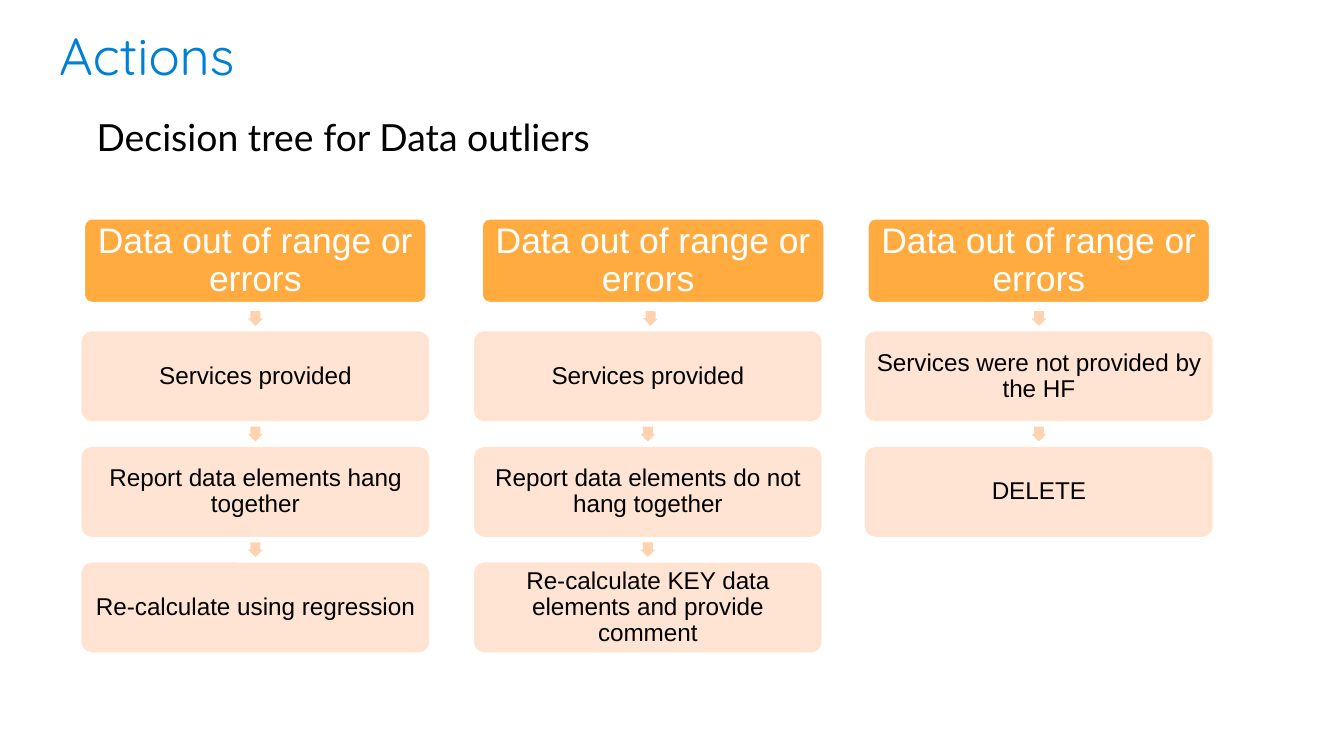
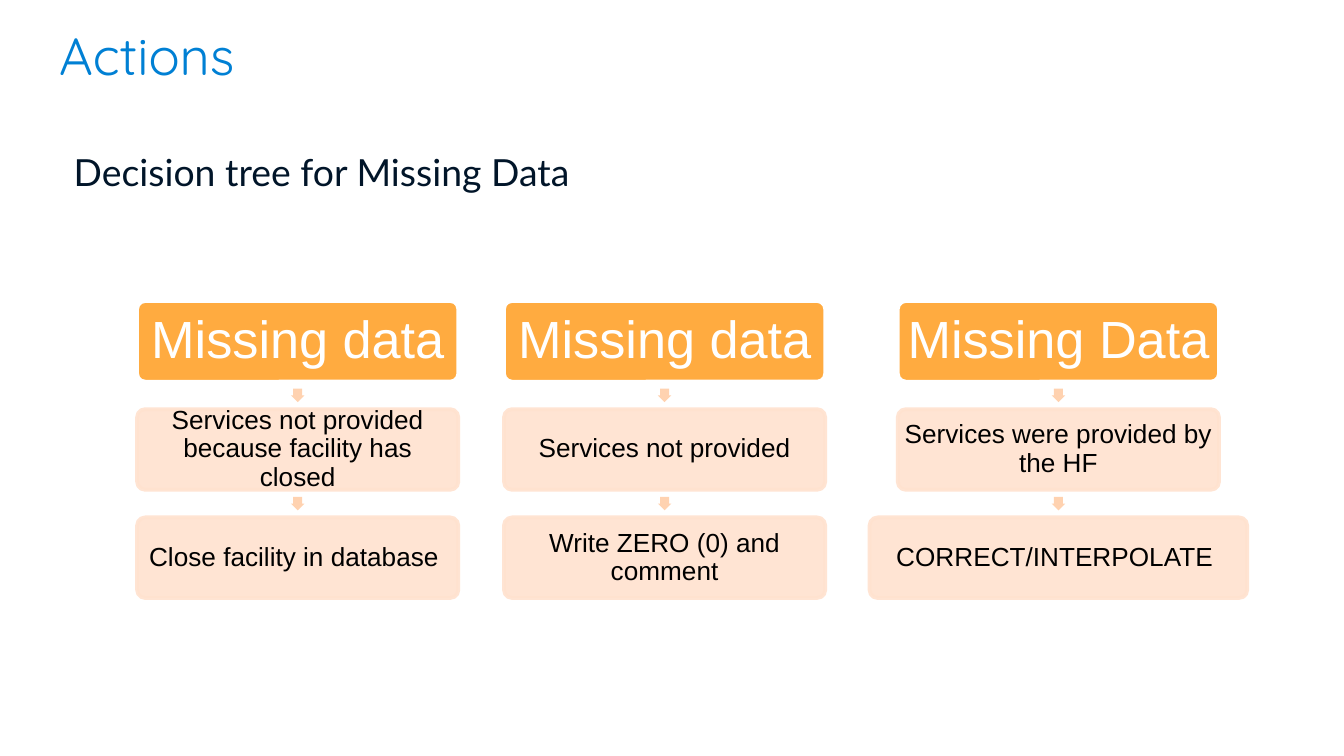
from math import atan2, degrees

from lxml import etree
from pptx import Presentation
from pptx.dml.color import RGBColor
from pptx.enum.shapes import MSO_SHAPE
from pptx.enum.text import MSO_ANCHOR, MSO_AUTO_SIZE, PP_ALIGN
from pptx.oxml.ns import qn
from pptx.util import Inches, Pt

BOX, ARROW = MSO_SHAPE.ROUNDED_RECTANGLE, MSO_SHAPE.RIGHT_ARROW
TOP, MIDDLE = MSO_ANCHOR.TOP, MSO_ANCHOR.MIDDLE
LEFT, CENTER = PP_ALIGN.LEFT, PP_ALIGN.CENTER
NO_FIT, GROW = MSO_AUTO_SIZE.NONE, MSO_AUTO_SIZE.SHAPE_TO_FIT_TEXT

COLORS = {
    "title": "0080D4", "head": "FFAB40", "step": "FFE2CF", "arrow": "FFD2B0",
    "white": "FFFFFF", "black": "000000", "navy": "011529",
}
STEP_OPACITY = 90
PAGE_WIDTH = 10
PAGE_HEIGHT = PAGE_WIDTH * 9 / 16
TITLE = "Actions"
TITLE_AREA = (0.34, 0.07, 9.32, 0.63)

SLIDES = [
    {
        "subtitle": {"text": "Decision tree for Data outliers", "area": (0.62, 0.8, 3.9, 0.44),
                     "color": "black", "wrap": False, "inset": (0.1, 0.05), "spacing": 1},
        "top": 1.62, "bottom": 4.84, "rows": 4, "box": (2.56, 0.64), "arrow": 0.11,
        "head_size": 19, "head_inset": 0.03, "step_size": 13,
        "columns": [
            {"left": 0.62, "head": "Data out of range or errors",
             "steps": ["Services provided", "Report data elements hang together",
                       "Re-calculate using regression"]},
            {"left": 3.54, "head": "Data out of range or errors ", "head_shift": 0.04,
             "steps": ["Services provided", "Report data elements do not hang together",
                       "Re-calculate KEY data elements and provide comment"]},
            {"left": 6.45, "head": "Data out of range or errors",
             "steps": ["Services were not provided by the HF", "DELETE"]},
        ],
    },
    {
        "subtitle": {"text": "Decision tree for Missing Data", "area": (0.34, 0.84, 9.32, 3.74),
                     "color": "navy", "wrap": True, "inset": (0.1, 0.1), "spacing": 1.5,
                     "indent": 0.11},
        "top": 2.24, "bottom": 4.45, "rows": 3, "box": (2.39, 0.6), "arrow": 0.1,
        "head_size": 28, "head_inset": 0.04, "step_size": 14,
        "columns": [
            {"left": 1.02, "head": "Missing data",
             "steps": ["Services not provided because facility has closed",
                       "Close facility in database "]},
            {"left": 3.75, "head": "Missing data",
             "steps": ["Services not provided", "Write ZERO (0) and comment"]},
            {"left": 6.68, "head": "Missing Data", "last_width": 2.81,
             "steps": ["Services were provided by the HF", "CORRECT/INTERPOLATE "]},
        ],
    },
]


def rgb(name):
    return RGBColor.from_string(COLORS[name])


def write(shape, text, font, size, color, align, anchor, inset, spacing=1.0):
    frame = shape.text_frame
    frame.word_wrap = True
    frame.vertical_anchor = anchor
    frame.margin_left = frame.margin_right = Inches(inset[0])
    frame.margin_top = frame.margin_bottom = Inches(inset[1])
    para = frame.paragraphs[0]
    para.alignment = align
    para.line_spacing = spacing
    span = para.add_run()
    span.text = text
    span.font.name = font
    span.font.size = Pt(size)
    span.font.color.rgb = rgb(color)
    return frame


def add_centered(group, kind, center, size, fill):
    """Add a plain filled shape around its centre point."""
    (x, y), (width, height) = center, size
    shape = group.shapes.add_shape(kind, Inches(x - width / 2), Inches(y - height / 2),
                                   Inches(width), Inches(height))
    shape.shadow.inherit = False
    shape.fill.solid()
    shape.fill.fore_color.rgb = rgb(fill)
    return shape


def add_node(group, center, size, text, is_head, tree):
    box = add_centered(group, BOX, center, size, "head" if is_head else "step")
    box.adjustments[0] = 0.1
    box.line.width = Pt(2)
    box.line.color.rgb = rgb("white" if is_head else "step")
    if is_head:
        look = (tree["head_size"], "white", tree["head_inset"])
    else:
        look = (tree["step_size"], "black", 0.02)
        for color in box._element.spPr.iter(qn("a:srgbClr")):
            etree.SubElement(color, qn("a:alpha"), val=str(STEP_OPACITY * 1000))
    font_size, color, inset = look
    write(box, text, "Arial", font_size, color, CENTER, MIDDLE, (inset, inset), 0.9)


def add_arrow(group, start, end, side):
    """Put a small arrow halfway between two nodes, pointing to the second."""
    middle = [(a + b) / 2 for a, b in zip(start, end)]
    arrow = add_centered(group, ARROW, middle, (side, side), "arrow")
    arrow.adjustments[0], arrow.adjustments[1] = 0.667, 0.5
    arrow.line.fill.background()
    arrow.rotation = degrees(atan2(end[1] - start[1], end[0] - start[0]))


def add_tree(page, tree):
    width, height = tree["box"]
    pitch = (tree["bottom"] - tree["top"] - height) / (tree["rows"] - 1)
    group = page.shapes.add_group_shape()
    for column in tree["columns"]:
        texts = [column["head"], *column["steps"]]
        previous = None
        for row, text in enumerate(texts):
            is_head, is_last = row == 0, row == len(texts) - 1
            shift = column.get("head_shift", 0) if is_head else 0
            node_width = column.get("last_width", width) if is_last else width
            center = (column["left"] + width / 2 + shift,
                      tree["top"] + height / 2 + row * pitch)
            if previous:
                add_arrow(group, previous, center, tree["arrow"])
            add_node(group, center, (node_width, height), text, is_head, tree)
            previous = center


def add_title(page):
    title = page.shapes.title
    title.left, title.top, title.width, title.height = map(Inches, TITLE_AREA)
    frame = write(title, TITLE, "Quicksand", 28, "title", LEFT, TOP, (0.1, 0.1))
    frame.auto_size = NO_FIT


def add_subtitle(page, subtitle):
    box = page.shapes.add_textbox(*map(Inches, subtitle["area"]))
    frame = write(box, subtitle["text"], "Lato", 20, subtitle["color"], LEFT, TOP,
                  subtitle["inset"], subtitle["spacing"])
    frame.word_wrap = subtitle["wrap"]
    frame.auto_size = NO_FIT if subtitle["wrap"] else GROW
    if "indent" in subtitle:
        properties = frame.paragraphs[0]._p.get_or_add_pPr()
        properties.set("marL", str(Inches(subtitle["indent"])))
        properties.set("indent", "0")


def main():
    deck = Presentation()
    deck.slide_width, deck.slide_height = Inches(PAGE_WIDTH), Inches(PAGE_HEIGHT)
    title_only = deck.slide_layouts[5]
    for content in SLIDES:
        page = deck.slides.add_slide(title_only)
        add_title(page)
        add_tree(page, content)
        add_subtitle(page, content["subtitle"])
    deck.save("out.pptx")


if __name__ == "__main__":
    main()
